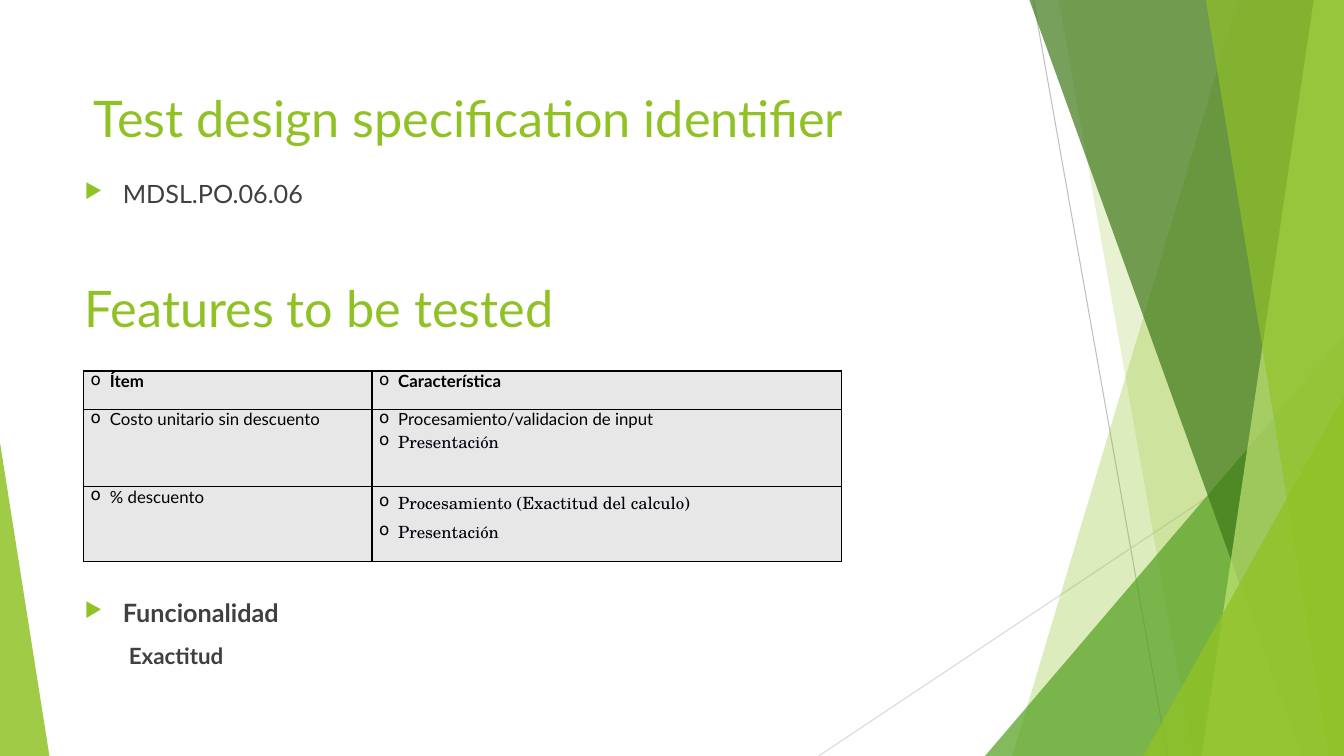
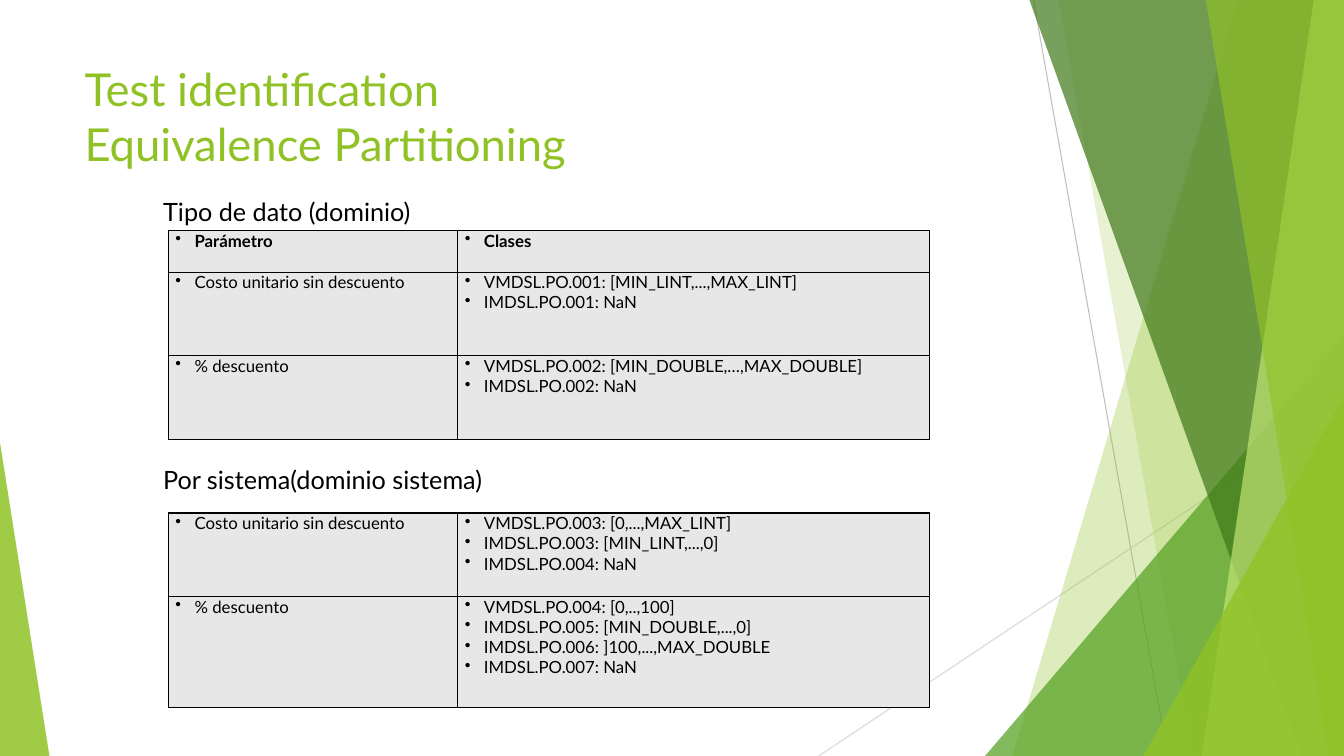
"""Build two test design slides with shared facet artwork, titles and tables."""
from lxml import etree
from pptx import Presentation
from pptx.dml.color import RGBColor
from pptx.enum.shapes import MSO_CONNECTOR, MSO_SHAPE
from pptx.oxml.ns import qn
from pptx.util import Inches, Pt

STRAIGHT = MSO_CONNECTOR.STRAIGHT
TRIANGLE = MSO_SHAPE.ISOSCELES_TRIANGLE
WIDTH, HEIGHT = 13.33, 7.5
SANS, SERIF = "Lato", "TeX Gyre Schola"
COLORS = {
    "lime": "90C226", "green": "54A021", "forest": "3F7819", "pale": "C0E474",
    "text": "404040", "black": "000000", "ink": "00000A", "cell": "E7E7E7",
    "gray": "BFBFBF", "light": "D9D9D9",
}

RAYS = [((10.25, 0), (11.58, HEIGHT), "gray"), ((WIDTH, 4.03), (8.12, HEIGHT), "light")]
FACETS = [
    ("band", (12.28, 10.04), "lime", 30),
    ("band", (10.5, 11.83), "lime", 20),
    ("triangle", (9.77, 3.33, 3.56, 1), "green", 72),
    ("band", (10.21, 12.91), "forest", 70),
    ("band", (13.03, 11.92), "pale", 70),
    ("band", (11.96, 13.18), "lime", 65),
    ("triangle", (11.34, 3.93, 1.99, 1), "lime", 80),
    ("triangle", (0, 4.39, 0.49, 0), "lime", 85),
]

SLIDES = [
    {
        "titles": [
            ("Features to be tested", (0.74, 2.7), 36),
            ("Test design specification identifier", (0.83, 0.82), 36),
        ],
        "outlines": [
            ((0.74, 5.88, 9.4, 1), [("Funcionalidad", 0, True), ("Exactitud", 1, True)]),
            ((0.74, 1.72, 9.23, 1.21), [("MDSL.PO.06.06", 0, False)]),
        ],
        "labels": [],
        "tables": [{
            "at": (0.83, 3.68), "columns": (2.86, 4.66), "heights": (0.38, 0.77, 0.74),
            "bullet": "o", "header": True,
            "serif": {(1, 1, 1): 1, (2, 1, 0): 1.15, (2, 1, 1): 1.15},
            "rows": [
                (["Ítem"], ["Característica"]),
                (["Costo unitario sin descuento"],
                 ["Procesamiento/validacion de input", "Presentación"]),
                (["% descuento"],
                 ["Procesamiento (Exactitud del calculo)", "Presentación"]),
            ],
        }],
    },
    {
        "titles": [("Test identification\vEquivalence Partitioning", (0.74, 0.56), 32.4)],
        "outlines": [],
        "labels": [
            ("Tipo de dato (dominio)", (1.52, 1.9)),
            ("Por sistema(dominio sistema)", (1.52, 4.56)),
        ],
        "tables": [
            {
                "at": (1.67, 2.29), "columns": (2.87, 4.68), "heights": (0.41, 0.83, 0.83),
                "bullet": "•", "header": True, "serif": {},
                "rows": [
                    (["Parámetro"], ["Clases"]),
                    (["Costo unitario sin descuento"],
                     ["VMDSL.PO.001: [MIN_LINT,...,MAX_LINT]", "IMDSL.PO.001: NaN"]),
                    (["% descuento"],
                     ["VMDSL.PO.002: [MIN_DOUBLE,…,MAX_DOUBLE]", "IMDSL.PO.002: NaN"]),
                ],
            },
            {
                "at": (1.67, 5.09), "columns": (2.87, 4.68), "heights": (0.83, 1.1),
                "bullet": "•", "header": False, "serif": {},
                "rows": [
                    (["Costo unitario sin descuento"],
                     ["VMDSL.PO.003: [0,...,MAX_LINT]", "IMDSL.PO.003: [MIN_LINT,...,0]",
                      "IMDSL.PO.004: NaN"]),
                    (["% descuento"],
                     ["VMDSL.PO.004: [0,..,100]", "IMDSL.PO.005: [MIN_DOUBLE,...,0]",
                      "IMDSL.PO.006: ]100,...,MAX_DOUBLE", "IMDSL.PO.007: NaN"]),
                ],
            },
        ],
    },
]


def rgb(name):
    return RGBColor.from_string(COLORS[name])


def add_child(parent, tag, **attributes):
    return etree.SubElement(parent, qn(tag), attributes)


def write(para, text, size, color, bold=False, font=SANS):
    para.text = text
    for span in para.runs:
        span.font.name, span.font.size, span.font.bold = font, Pt(size), bold
        span.font.color.rgb = rgb(color)


def indent(para, margin, hanging, bullet=None, color=None):
    properties = para._p.get_or_add_pPr()
    properties.set("marL", str(Inches(margin)))
    properties.set("indent", str(Inches(-hanging)))
    if color:
        add_child(add_child(properties, "a:buClr"), "a:srgbClr", val=COLORS[color])
        add_child(properties, "a:buSzPct", val="80000")
    if bullet:
        add_child(properties, "a:buChar", char=bullet)


def add_box(page, left, top, width, height):
    box = page.shapes.add_textbox(*map(Inches, (left, top, width, height)))
    box.text_frame.word_wrap = True
    return box.text_frame


def add_ray(page, start, end, color):
    ray = page.shapes.add_connector(STRAIGHT, *map(Inches, start + end))
    ray.line.color.rgb, ray.line.width = rgb(color), Pt(0.75)
    add_child(ray.element.spPr, "a:effectLst")
    return ray


def add_facet(page, kind, geometry, color, opacity):
    if kind == "band":
        top_x, bottom_x = geometry
        builder = page.shapes.build_freeform(Inches(top_x), 0)
        corners = [(WIDTH, 0), (WIDTH, HEIGHT), (bottom_x, HEIGHT)]
        builder.add_line_segments([(Inches(x), Inches(y)) for x, y in corners])
        facet = builder.convert_to_shape()
    else:
        left, top, width, apex = geometry
        facet = page.shapes.add_shape(
            TRIANGLE, *map(Inches, (left, top, width, HEIGHT - top)))
        facet.adjustments[0] = apex
    facet.shadow.inherit = False
    facet.line.fill.background()
    facet.fill.solid()
    facet.fill.fore_color.rgb = rgb(color)
    tone = facet.element.spPr.find(qn("a:solidFill")).find(qn("a:srgbClr"))
    add_child(tone, "a:alpha", val=str(opacity * 1000))
    return facet


def add_outline(page, place, items):
    frame = add_box(page, *place)
    for index, (text, level, bold) in enumerate(items):
        para = frame.add_paragraph() if index else frame.paragraphs[0]
        write(para, text, 18 - 2 * level, "text", bold)
        para.space_before = Pt(10)
        para.level = level
        if level:
            indent(para, 0.44, 0)
        else:
            indent(para, 0.38, 0.38, "▶", "lime")


def style_cell(cell):
    cell.margin_left = cell.margin_right = Inches(0.07)
    cell.margin_top = cell.margin_bottom = 0
    properties = cell._tc.get_or_add_tcPr()
    for side in ("a:lnL", "a:lnR", "a:lnT", "a:lnB"):
        border = add_child(properties, side, w=str(Pt(1)))
        add_child(add_child(border, "a:solidFill"), "a:srgbClr", val=COLORS["black"])
    cell.fill.solid()
    cell.fill.fore_color.rgb = rgb("cell")


def add_grid(page, content):
    columns, heights = content["columns"], content["heights"]
    size = (sum(columns), sum(heights))
    grid = page.shapes.add_table(
        len(heights), len(columns), *map(Inches, content["at"] + size)).table
    grid.first_row = grid.horz_banding = False
    for column, width in zip(grid.columns, columns):
        column.width = Inches(width)
    for row, height in zip(grid.rows, heights):
        row.height = Inches(height)
    for r, row in enumerate(content["rows"]):
        for c, lines in enumerate(row):
            cell = grid.cell(r, c)
            style_cell(cell)
            for index, text in enumerate(lines):
                frame = cell.text_frame
                para = frame.add_paragraph() if index else frame.paragraphs[0]
                spacing = content["serif"].get((r, c, index))
                font, color = (SERIF, "ink") if spacing else (SANS, "black")
                write(para, text, 12, color, content["header"] and r == 0, font)
                if spacing:
                    para.line_spacing = float(spacing)
                indent(para, 0.19, 0.19, content["bullet"])


deck = Presentation()
deck.slide_width, deck.slide_height = Inches(WIDTH), Inches(HEIGHT)
blank = deck.slide_layouts[6]
pages = [deck.slides.add_slide(blank) for _ in SLIDES]

artwork = [add_ray(pages[0], *ray) for ray in RAYS]
artwork += [add_facet(pages[0], *facet) for facet in FACETS]
for part in artwork:
    blank.shapes.element.append(part.element)

for page, content in zip(pages, SLIDES):
    for text, place, size in content["titles"]:
        write(add_box(page, *place, 9.4, 1.44).paragraphs[0], text, size, "lime")
    for place, items in content["outlines"]:
        add_outline(page, place, items)
    for table in content["tables"]:
        add_grid(page, table)
    for text, place in content["labels"]:
        write(add_box(page, *place, 6.25, 0.4).paragraphs[0], text, 18, "black")

deck.save("out.pptx")
